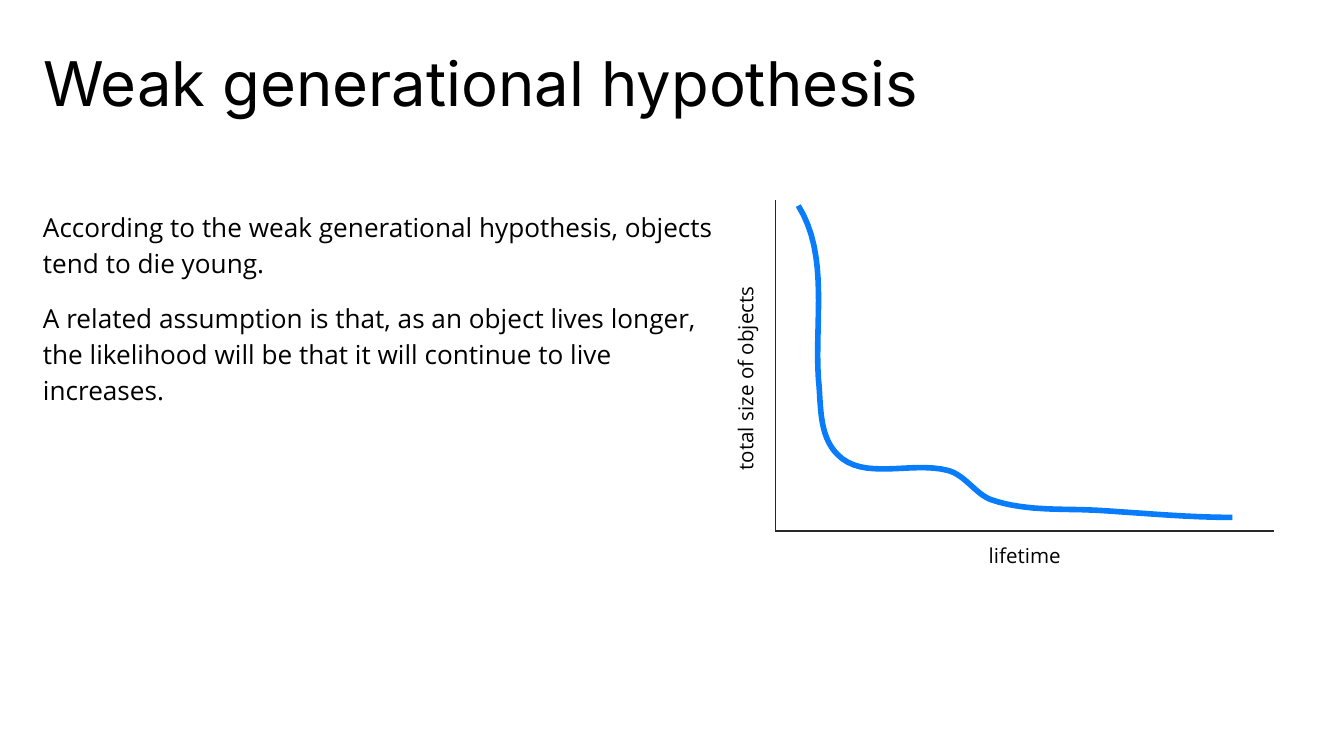
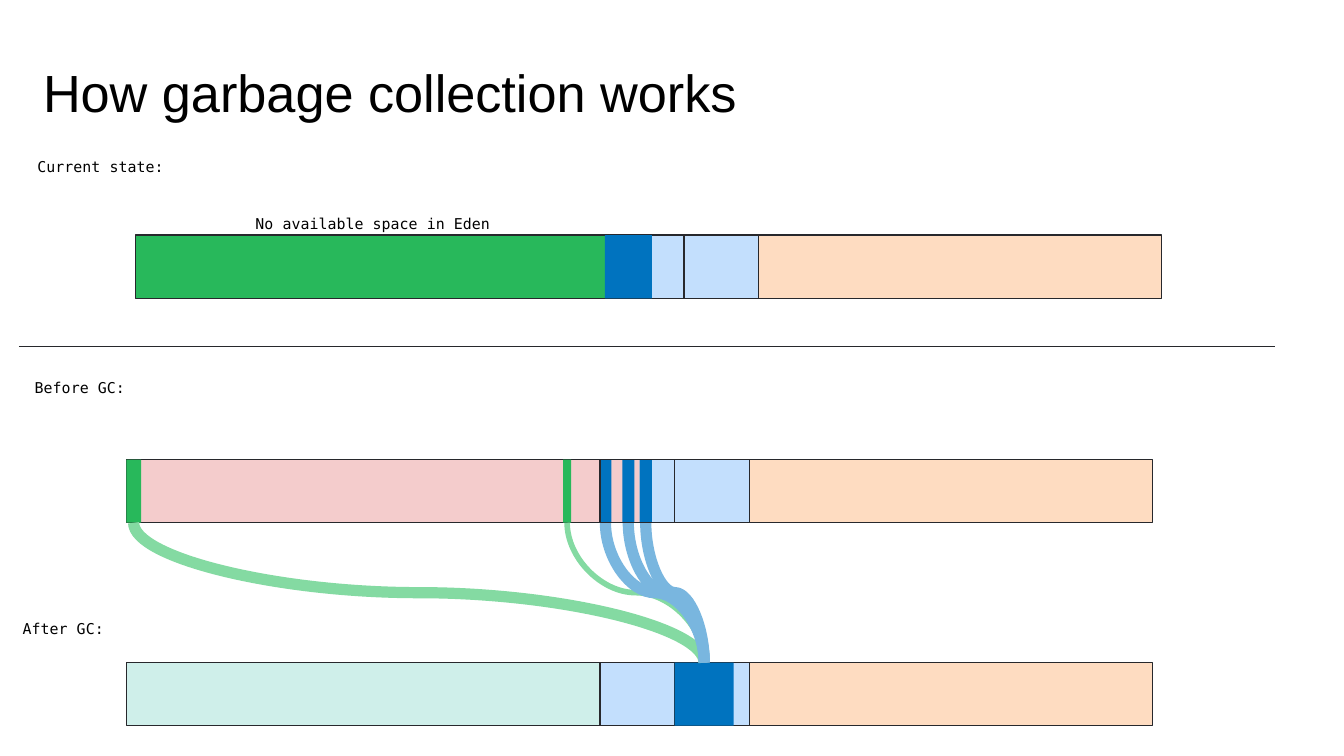
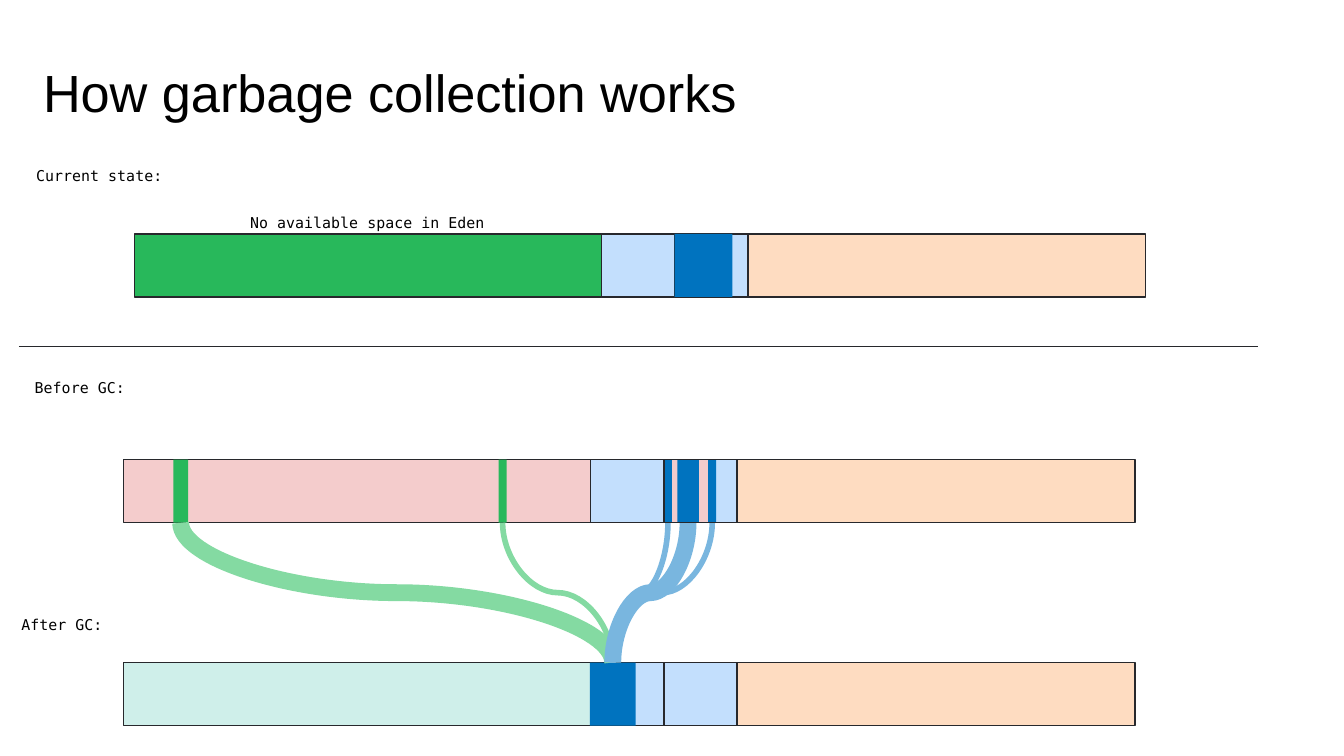
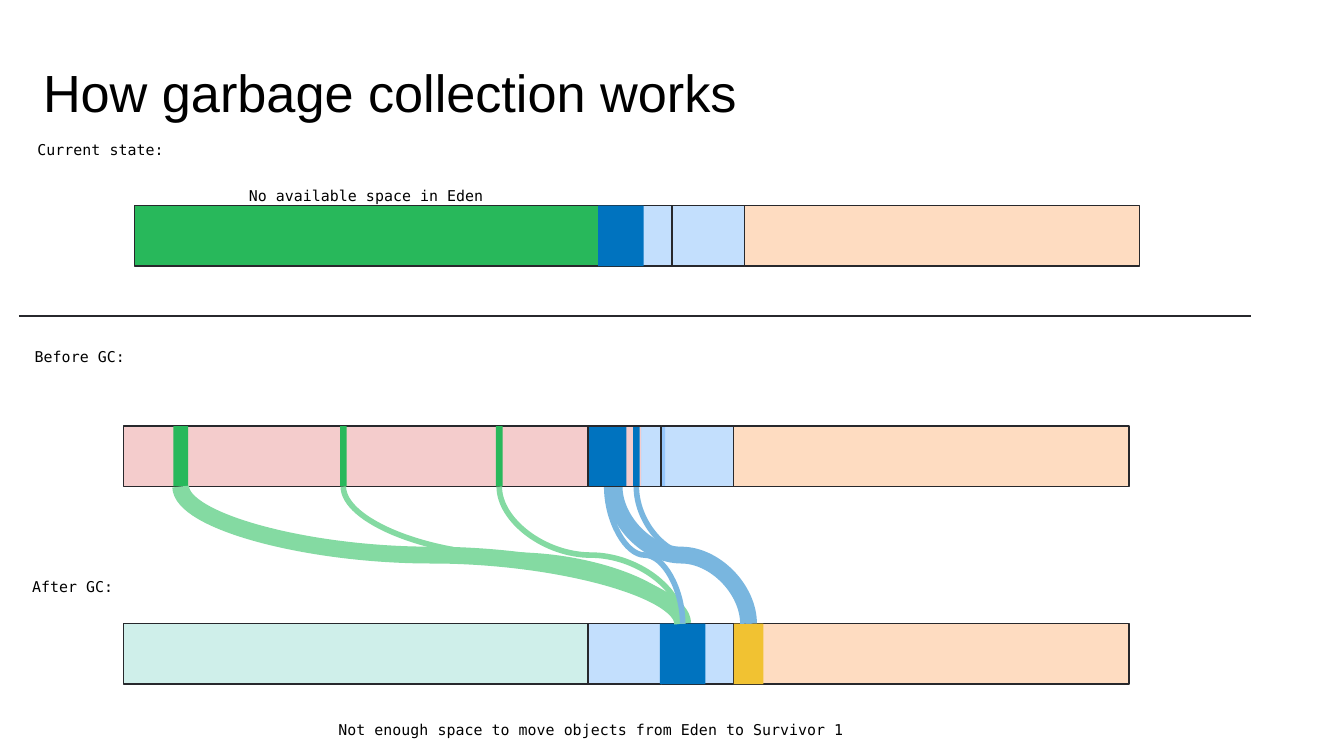
import lxml.etree
import pptx
import pptx.dml.color
import pptx.enum.shapes
import pptx.enum.text
import pptx.oxml.ns
import pptx.util

COLUMNS = 100
SLIDE_WIDTH = pptx.util.Inches(10)
SLIDE_HEIGHT = SLIDE_WIDTH * 9 // 16
CELL = SLIDE_WIDTH // COLUMNS  # grid columns and rows are equally large

BLACK, INK, CURVE_BLUE = "000000", "27282C", "087CFA"
GARBAGE, EDEN_LIVE, SURVIVOR_LIVE, PROMOTED = "F4CCCC", "28B85B", "0073BF", "F1C232"
EDEN_FLOW, SURVIVOR_FLOW = "84DAA2", "79B6DF"
EDEN_EMPTY, SURVIVOR_SPACE, TENURED_SPACE = ("28B8A0", 22), (CURVE_BLUE, 24), ("FC801D", 27)

ALIGN = pptx.enum.text.PP_ALIGN
ANCHOR_TOP = pptx.enum.text.MSO_ANCHOR.TOP
FIT = pptx.enum.text.MSO_AUTO_SIZE
CONNECTOR = pptx.enum.shapes.MSO_CONNECTOR

AXIS = {"font": {"name": "Open Sans", "size": 11}, "alignment": ALIGN.CENTER}
BODY = {"font": {"name": "Open Sans", "size": 14}, "line_spacing": 1.15,
        "insets": (0, 0.8, 0, 0), "gap": 10, "fit": FIT.NONE}
MONO = {"font": {"name": "DejaVu Sans Mono", "size": 8}, "line_spacing": 1.15,
        "insets": (1, 1, 1, 0.4)}
CAPTION = {**MONO, "alignment": ALIGN.CENTER}
HYPOTHESIS_TITLE = {"font": {"name": "Inter", "size": 33}, "line_spacing": 0.85,
                    "insets": (0, 1, 0, 1), "fit": FIT.NONE}
GC_TITLE = {"font": {"name": "Arial", "size": 28}, "insets": (0, 1.3, 0, 1), "fit": FIT.NONE}


def grid(cells):
    return round(cells * CELL)


def rgb(code):
    return pptx.dml.color.RGBColor.from_string(code)


def assign(target, values):
    for attribute, value in values.items():
        setattr(target, attribute, value)


def bezier(start, handle_a, handle_b, end, steps=16):
    """Points along a cubic curve, without its start."""
    for step in range(1, steps + 1):
        t = step / steps
        weights = ((1 - t) ** 3, 3 * t * (1 - t) ** 2, 3 * t * t * (1 - t), t ** 3)
        yield tuple(sum(w * p[axis] for w, p in zip(weights, (start, handle_a, handle_b, end)))
                    for axis in (0, 1))


class Deck:
    def __init__(self):
        self.presentation = pptx.Presentation()
        assign(self.presentation, {"slide_width": SLIDE_WIDTH, "slide_height": SLIDE_HEIGHT})
        self.slide = None

    def new_slide(self, title, style):
        layout = self.presentation.slide_layouts.get_by_name("Title Only")
        self.slide = self.presentation.slides.add_slide(layout)
        heading = self.slide.shapes.title
        assign(heading, dict(zip(("left", "top", "width", "height"),
                                 map(grid, (3.2, 3.2, 93, 5)))))
        self.set_text(heading.text_frame, [title], style)

    def set_text(self, frame, paragraphs, style):
        sides = ("margin_left", "margin_top", "margin_right", "margin_bottom")
        assign(frame, {"word_wrap": True, "vertical_anchor": ANCHOR_TOP,
                       "auto_size": style.get("fit", FIT.SHAPE_TO_FIT_TEXT)})
        assign(frame, dict(zip(sides, map(grid, style.get("insets", (1, 1, 1, 1))))))
        for index, text in enumerate(paragraphs):
            paragraph = frame.add_paragraph() if index else frame.paragraphs[0]
            paragraph.text = text
            assign(paragraph, {"alignment": style.get("alignment", ALIGN.LEFT),
                               "line_spacing": style.get("line_spacing", 1.0),
                               "space_before": pptx.util.Pt(style.get("gap", 0) if index else 0)})
            font = style["font"]
            assign(paragraph.font, {"name": font["name"], "size": pptx.util.Pt(font["size"])})
            paragraph.font.color.rgb = rgb(BLACK)

    def text(self, left, top, width, height, paragraphs, style, rotation=0):
        box = self.slide.shapes.add_textbox(*map(grid, (left, top, width, height)))
        box.rotation = rotation
        self.set_text(box.text_frame, paragraphs, style)

    def stroke(self, line, color, weight):
        line.color.rgb = rgb(color)
        line.width = pptx.util.Pt(weight)

    def block(self, left, top, width, height, fill=None, outlined=False):
        """Rectangle; fill is a colour, a (colour, opacity percent) pair or None."""
        shape = self.slide.shapes.add_shape(pptx.enum.shapes.MSO_SHAPE.RECTANGLE,
                                            *map(grid, (left, top, width, height)))
        shape.shadow.inherit = False
        if fill is None:
            shape.fill.background()
        else:
            color, opacity = (fill, 100) if isinstance(fill, str) else fill
            shape.fill.solid()
            shape.fill.fore_color.rgb = rgb(color)
            if opacity < 100:
                qn = pptx.oxml.ns.qn
                tint = shape._element.spPr.find(qn("a:solidFill"))[0]
                lxml.etree.SubElement(tint, qn("a:alpha")).set("val", str(opacity * 1000))
        if outlined:
            self.stroke(shape.line, INK, 0.75)
        else:
            shape.line.fill.background()

    def line(self, x1, y1, x2, y2, color=INK, weight=0.75, kind=CONNECTOR.STRAIGHT):
        link = self.slide.shapes.add_connector(kind, *map(grid, (x1, y1, x2, y2)))
        self.stroke(link.line, color, weight)
        lxml.etree.SubElement(link._element.spPr, pptx.oxml.ns.qn("a:effectLst"))
        return link

    def flow(self, source, top, target, bottom, color, weight):
        """S-curve that leaves and arrives vertically: a quarter-turned curved connector."""
        middle_x, middle_y, reach = (source + target) / 2, (top + bottom) / 2, (bottom - top) / 2
        turn = 1 if target >= source else -1
        link = self.line(middle_x + turn * reach, middle_y - turn * (target - middle_x),
                         middle_x - turn * reach, middle_y - turn * (source - middle_x),
                         color, weight, CONNECTOR.CURVE)
        link._element.spPr.xfrm.set("rot", str(turn * 90 % 360 * 60000))

    def curve(self, start, segments, color, weight):
        points = [start]
        for segment in segments:
            points.extend(bezier(points[-1], *segment))
        points = [tuple(map(grid, point)) for point in points]
        builder = self.slide.shapes.build_freeform(*points[0])
        builder.add_line_segments(points[1:], close=False)
        shape = builder.convert_to_shape()
        shape.shadow.inherit = False
        shape.fill.background()
        self.stroke(shape.line, color, weight)

    def heap(self, left, top, spaces, height, eden):
        """Eden, two survivor spaces and the tenured space, side by side."""
        for width, fill in zip(spaces, (eden, SURVIVOR_SPACE, SURVIVOR_SPACE, TENURED_SPACE)):
            self.block(left, top, width, height, fill, outlined=True)
            left += width


def hypothesis_slide(deck):
    deck.new_slide("Weak generational hypothesis", HYPOTHESIS_TITLE)
    deck.text(3.2, 14.6, 50.4, 28.6, [
        "According to the weak generational hypothesis, objects tend to die young.",
        "A related assumption is that, as an object lives longer, the likelihood will be "
        "that it will continue to live increases."], BODY)
    origin_x, origin_y = 57.7, 39.5
    deck.line(origin_x, 14.9, origin_x, origin_y)
    deck.line(origin_x, origin_y, 94.8, origin_y)
    deck.curve((59.4, 15.3), [
        ((61.7, 19), (60.6, 23.9), (60.9, 28.2)),
        ((61.1, 30.1), (60.9, 32.4), (62.3, 33.8)),
        ((64.2, 35.8), (67.8, 34.3), (70.5, 35)),
        ((71.8, 35.3), (72.6, 36.8), (73.8, 37.2)),
        ((76.5, 38.1), (79.3, 37.8), (82.1, 38)),
        ((85.3, 38.2), (88.5, 38.5), (91.7, 38.5))], CURVE_BLUE, 3)
    deck.text(45.7, 26.2, 19.7, 3.9, ["total size of objects"], AXIS, rotation=270)
    deck.text(66.4, 39.5, 19.7, 3.9, ["lifetime"], AXIS)


# Positions are columns and rows. Ranges are (left, width).
# Live objects are (left, width, flow weight, destination).
COLLECTIONS = [
    {"spaces": (35.25, 5.55, 5.55, 30), "height": 4.7, "lefts": (10.1, 9.4),
     "tops": (17.5, 34.2, 49.3), "divider": (25.8, 94.9), "used": (45, 3.5),
     "active": 0, "garbage": (44.6, 3), "free": (48.5, 1.7),
     "eden": [(9.4, 1.1, 6, "moved"), (41.9, 0.6, 3, "moved")],
     "survivor": [(44.6, 0.9, 6, "moved"), (46.3, 0.9, 6, "moved"), (47.6, 0.9, 6, "moved")],
     "moved": (50.2, 4.4), "full": (14.4, 14.8, 26.7),
     "labels": ((1.8, 10.5), (1.6, 27), (0.7, 44.9))},
    {"spaces": (34.75, 5.45, 5.45, 29.6), "height": 4.7, "lefts": (10, 9.2),
     "tops": (17.4, 34.2, 49.3), "divider": (25.8, 93.6), "used": (50.2, 4.3),
     "active": 1, "garbage": (49.4, 3.8), "free": (53.2, 1.6),
     "eden": [(12.9, 1.1, 9, "moved"), (37.1, 0.6, 3, "moved")],
     "survivor": [(49.4, 0.6, 3, "moved"), (50.4, 1.6, 9, "moved"), (52.7, 0.6, 3, "moved")],
     "moved": (43.9, 3.4), "full": (14.2, 14.7, 26.3),
     "labels": ((1.7, 11.2), (1.6, 27), (0.6, 44.6))},
    {"spaces": (34.55, 5.45, 5.4, 29.4), "height": 4.5, "lefts": (10, 9.2),
     "tops": (15.3, 31.7, 46.4), "divider": (23.5, 93.1), "used": (44.5, 3.4),
     "active": 0, "garbage": (43.9, 3.8), "free": (47.7, 1.8),
     "eden": [(12.9, 1.1, 9, "moved"), (25.3, 0.5, 3, "moved"), (36.9, 0.5, 3, "moved")],
     "survivor": [(43.7, 2.9, 3, "moved"), (47.1, 0.5, 3, "promoted")],
     "moved": (49.1, 3.4), "promoted": (54.6, 2.2), "promotion_flow": (45.7, 9),
     "full": (14.2, 12.7, 26.1), "labels": ((1.8, 9.3), (1.6, 24.7), (1.4, 41.8)),
     "note": (20.3, 52.4, 47.4, 4.3)},
]


def collection_slide(deck, gc):
    deck.new_slide("How garbage collection works", GC_TITLE)
    spaces, height = gc["spaces"], gc["height"]
    current, before, after = gc["tops"]
    current_left, collected_left = gc["lefts"]

    def span(extent, top, fill):
        deck.block(extent[0], top, extent[1], height, fill)

    def centre(extent):
        return extent[0] + extent[1] / 2

    deck.heap(current_left, current, spaces, height, EDEN_LIVE)
    span(gc["used"], current, SURVIVOR_LIVE)
    divider_row, divider_end = gc["divider"]
    deck.line(1.4, divider_row, divider_end, divider_row)

    active = gc["active"]
    active_left = collected_left + sum(spaces[:active + 1])
    fills = [GARBAGE, SURVIVOR_SPACE, SURVIVOR_SPACE, TENURED_SPACE]
    fills[active + 1] = None
    span(gc["garbage"], before, GARBAGE)
    span(gc["free"], before, SURVIVOR_SPACE)
    for index, (width, fill) in enumerate(zip(spaces, fills)):
        if fill:
            deck.block(collected_left + sum(spaces[:index]), before, width, height, fill, True)

    deck.heap(collected_left, after, spaces, height, EDEN_EMPTY)
    span(gc["moved"], after, SURVIVOR_LIVE)
    if "promoted" in gc:
        span(gc["promoted"], after, PROMOTED)

    for space, live, trail in (("eden", EDEN_LIVE, EDEN_FLOW),
                               ("survivor", SURVIVOR_LIVE, SURVIVOR_FLOW)):
        for left, width, weight, destination in gc[space]:
            span((left, width), before, live)
            deck.flow(centre((left, width)), before + height,
                      centre(gc[destination]), after, trail, weight)
    if "promotion_flow" in gc:
        source, weight = gc["promotion_flow"]
        deck.flow(source, before + height, centre(gc["promoted"]), after, SURVIVOR_FLOW, weight)
    deck.block(active_left, before, spaces[active + 1], height, outlined=True)

    for (left, top), label in zip(gc["labels"], ("Current state:", "Before GC:", "After GC:")):
        deck.text(left, top, 18.5, 2.8, [label], MONO)
    left, top, width = gc["full"]
    deck.text(left, top, width, 2.8, ["No available space in Eden"], CAPTION)
    if "note" in gc:
        deck.text(*gc["note"], ["Not enough space to move objects from Eden to Survivor 1"], CAPTION)


def main():
    deck = Deck()
    hypothesis_slide(deck)
    for gc in COLLECTIONS:
        collection_slide(deck, gc)
    deck.presentation.save("out.pptx")


if __name__ == "__main__":
    main()
